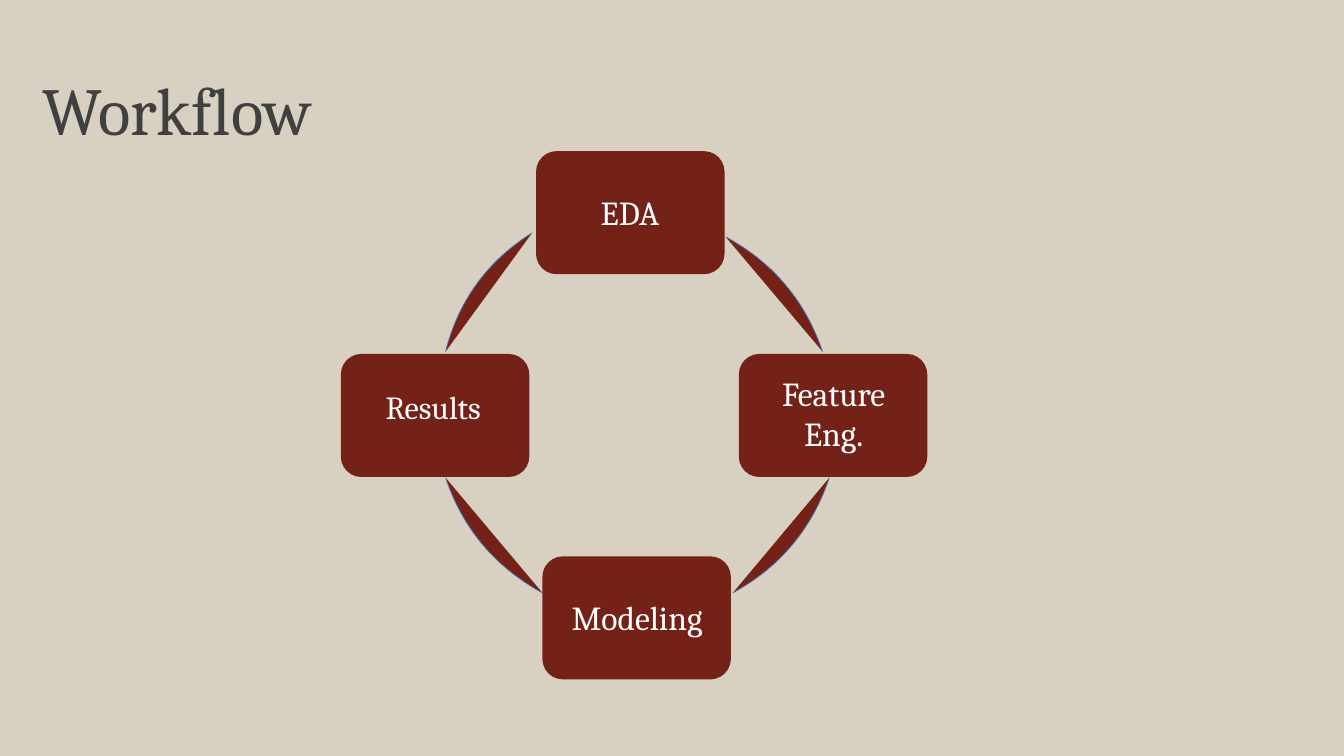
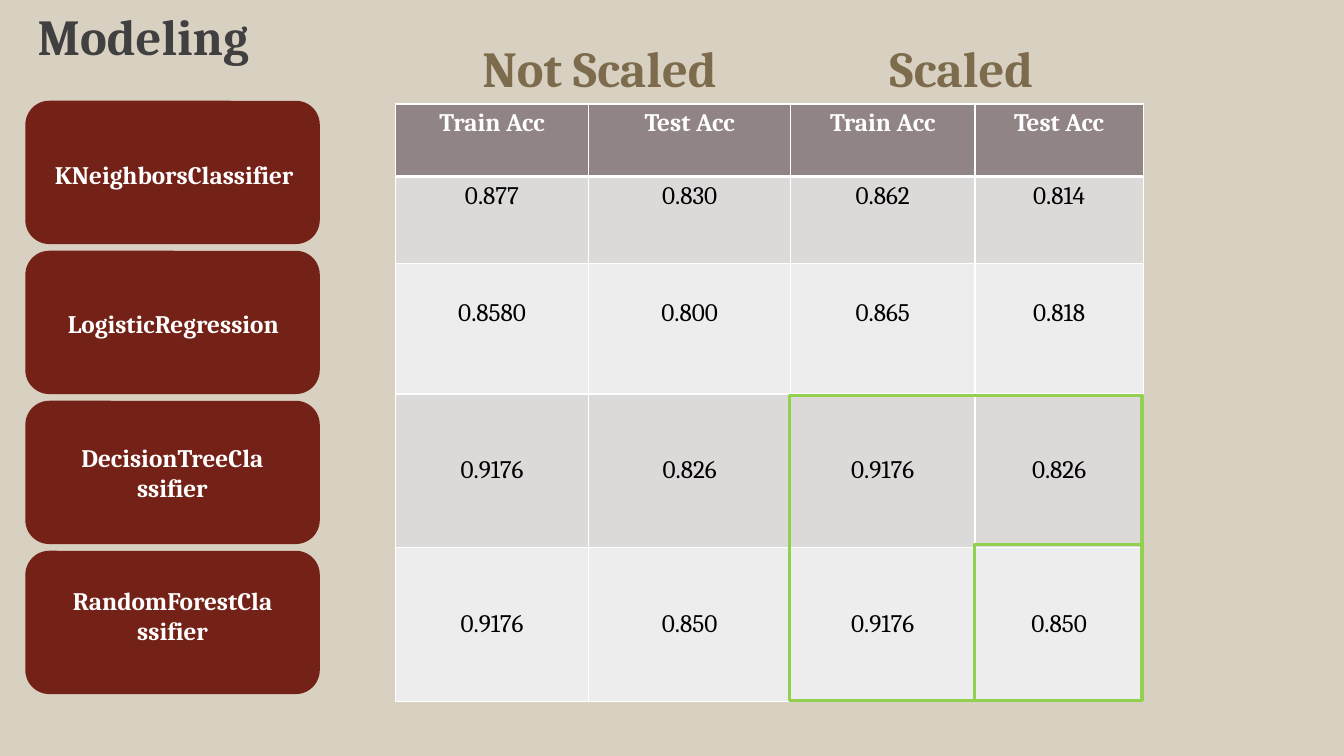
"""Build the workflow cycle slide and the model accuracy slide."""
import math

from lxml import etree
from pptx import Presentation
from pptx.dml.color import RGBColor
from pptx.enum.shapes import MSO_SHAPE
from pptx.enum.text import MSO_ANCHOR, PP_ALIGN
from pptx.oxml import parse_xml
from pptx.util import Cm, Pt

BACKGROUND = RGBColor(0xD8, 0xD0, 0xC0)
MAROON = RGBColor(0x74, 0x22, 0x17)
WHITE = RGBColor(0xFF, 0xFF, 0xFF)
BLACK = RGBColor(0, 0, 0)
TITLE_GREY = RGBColor(0x40, 0x40, 0x40)
HEADING_BROWN = RGBColor(0x7C, 0x6B, 0x4D)
ARC_BLUE = RGBColor(0x44, 0x72, 0xC4)
HIGHLIGHT_GREEN = RGBColor(0x92, 0xD0, 0x50)
HEADER_FILL = RGBColor(0x91, 0x84, 0x85)
BAND_DARK = RGBColor(0xDC, 0xD9, 0xD9)
BAND_LIGHT = RGBColor(0xEE, 0xED, 0xED)
FONT = "Cambria"
CENTER, LEFT = PP_ALIGN.CENTER, PP_ALIGN.LEFT
TOP, MIDDLE, BOTTOM = MSO_ANCHOR.TOP, MSO_ANCHOR.MIDDLE, MSO_ANCHOR.BOTTOM
RECTANGLE, ROUNDED = MSO_SHAPE.RECTANGLE, MSO_SHAPE.ROUNDED_RECTANGLE
DRAWING = "http://schemas.openxmlformats.org/drawingml/2006/main"


def add_text(slide, text, place, size, color, bold=False, align=CENTER, anchor=TOP, inset=0.25):
    """Add a text box; place is left, top, width, height in centimetres."""
    frame = slide.shapes.add_textbox(*map(Cm, place)).text_frame
    frame.word_wrap = True
    frame.vertical_anchor = anchor
    frame.margin_left = frame.margin_right = Cm(inset)
    frame.margin_top = frame.margin_bottom = Cm(inset / 2)
    frame.text = text
    for paragraph in frame.paragraphs:
        paragraph.alignment = align
        paragraph.font.name = FONT
        paragraph.font.size = Pt(size)
        paragraph.font.bold = bold
        paragraph.font.color.rgb = color


def add_box(slide, place):
    """Add a maroon rounded box; place is left, top, width, height in centimetres."""
    box = slide.shapes.add_shape(ROUNDED, *map(Cm, place))
    box.shadow.inherit = False
    box.fill.solid()
    box.fill.fore_color.rgb = MAROON
    box.line.fill.background()


presentation = Presentation()
presentation.slide_width, presentation.slide_height = Cm(33.87), Cm(19.05)
slides = []
for number in range(2):
    slide = presentation.slides.add_slide(presentation.slide_layouts[6])
    slide.background.fill.solid()
    slide.background.fill.fore_color.rgb = BACKGROUND
    slides.append(slide)
workflow, modeling = slides

add_text(workflow, "Workflow", (1.07, 1.68, 8, 2.08), 48, TITLE_GREY,
         align=LEFT, anchor=BOTTOM, inset=0)

ARC_BULGE, ARC_STEPS = 0.37, 28
arcs = [
    ((18.29, 5.97), (20.73, 8.86)),
    ((20.9, 12.04), (18.47, 14.94)),
    ((13.67, 14.94), (11.23, 12.04)),
    ((11.23, 8.86), (13.41, 5.87)),
]
for (start_x, start_y), (end_x, end_y) in arcs:
    across, down = end_x - start_x, end_y - start_y
    chord = math.hypot(across, down)
    points = []
    for step in range(ARC_STEPS + 1):
        part = step / ARC_STEPS
        rise = 4 * ARC_BULGE * part * (1 - part) / chord
        points.append((Cm(start_x + part * across + rise * down),
                       Cm(start_y + part * down - rise * across)))
    builder = workflow.shapes.build_freeform(*points[0])
    builder.add_line_segments(points[1:], close=False)
    arc = builder.convert_to_shape()
    arc.shadow.inherit = False
    arc.fill.solid()
    arc.fill.fore_color.rgb = MAROON
    arc.line.color.rgb = ARC_BLUE
    arc.line.width = Pt(0.5)

steps = [
    ("EDA", 13.51, 3.81, (13.82, 4.83, 4.11, 1.07), 24, 0),
    ("Feature\nEng.", 18.62, 8.92, (18.57, 9.4, 4.88, 2.13), 24, 0),
    ("Modeling", 13.67, 14.02, (13.97, 14.91, 4.17, 1.27), 24, 0.25),
    ("Results", 8.59, 8.92, (8, 9.75, 5.84, 1.02), 23, 0),
]
for name, left, top, label_place, size, inset in steps:
    add_box(workflow, (left, top, 4.75, 3.1))
    add_text(workflow, name, label_place, size, WHITE, inset=inset)

headings = [
    ("Modeling", -0.2, 0, TITLE_GREY),
    ("Not Scaled", 11.3, 0.81, HEADING_BROWN),
    ("Scaled", 20.42, 0.81, HEADING_BROWN),
]
for text, left, top, color in headings:
    add_text(modeling, text, (left, top, 7.62, 1.8), 36, color, bold=True)

classifiers = [
    ("KNeighborsClassifier", (0.43, 3.89, 7.92, 1.04)),
    ("LogisticRegression", (0.41, 7.65, 7.92, 1.04)),
    ("DecisionTreeClassifier", (1.68, 11.02, 5.33, 1.8)),
    ("RandomForestClassifier", (1.57, 14.63, 5.56, 1.8)),
]
for index, (name, label_place) in enumerate(classifiers):
    add_box(modeling, (0.64, 2.54 + 3.78 * index, 7.42, 3.61))
    add_text(modeling, name, label_place, 18, WHITE, bold=True)

column_widths = [4.88, 5.08, 4.65, 4.24]
accuracy_rows = [
    (1.83, TOP, 0.13, HEADER_FILL, ["Train Acc", "Test Acc"] * 2),
    (2.18, TOP, 0.13, BAND_DARK, ["0.877", "0.830", "0.862", "0.814"]),
    (3.3, TOP, 0.9, BAND_LIGHT, ["0.8580", "0.800", "0.865", "0.818"]),
    (3.86, MIDDLE, 0.13, BAND_DARK, ["0.9176", "0.826"] * 2),
    (3.89, MIDDLE, 0.13, BAND_LIGHT, ["0.9176", "0.850"] * 2),
]
table = modeling.shapes.add_table(len(accuracy_rows), len(column_widths), Cm(9.96), Cm(2.62),
                                  Cm(18.85), Cm(15.06)).table
table.horz_banding = False
for column, width in zip(table.columns, column_widths):
    column.width = Cm(width)
for row_index, (height, anchor, margin_top, fill, values) in enumerate(accuracy_rows):
    table.rows[row_index].height = Cm(height)
    is_header = row_index == 0
    borders = {"lnL": 1, "lnR": 1, "lnT": 3 if row_index == 1 else 1, "lnB": 3 if is_header else 1}
    for column_index, value in enumerate(values):
        cell = table.cell(row_index, column_index)
        cell.vertical_anchor = anchor
        cell.margin_top = Cm(margin_top)
        properties = cell._tc.get_or_add_tcPr()
        for edge, width in borders.items():
            border = parse_xml(f'<a:{edge} xmlns:a="{DRAWING}" w="{Pt(width)}"/>')
            solid = etree.SubElement(border, f"{{{DRAWING}}}solidFill")
            etree.SubElement(solid, f"{{{DRAWING}}}srgbClr", val=str(WHITE))
            properties.append(border)
        cell.fill.solid()
        cell.fill.fore_color.rgb = fill
        cell.text = value
        paragraph = cell.text_frame.paragraphs[0]
        paragraph.alignment = CENTER
        paragraph.font.name = FONT
        paragraph.font.size = Pt(18)
        paragraph.font.bold = is_header
        paragraph.font.color.rgb = WHITE if is_header else BLACK

for place in [(19.89, 9.96, 8.89, 7.7), (24.56, 13.72, 4.24, 3.94)]:
    highlight = modeling.shapes.add_shape(RECTANGLE, *map(Cm, place))
    highlight.shadow.inherit = False
    highlight.fill.background()
    highlight.line.color.rgb = HIGHLIGHT_GREEN
    highlight.line.width = Pt(2.25)

presentation.save("out.pptx")
